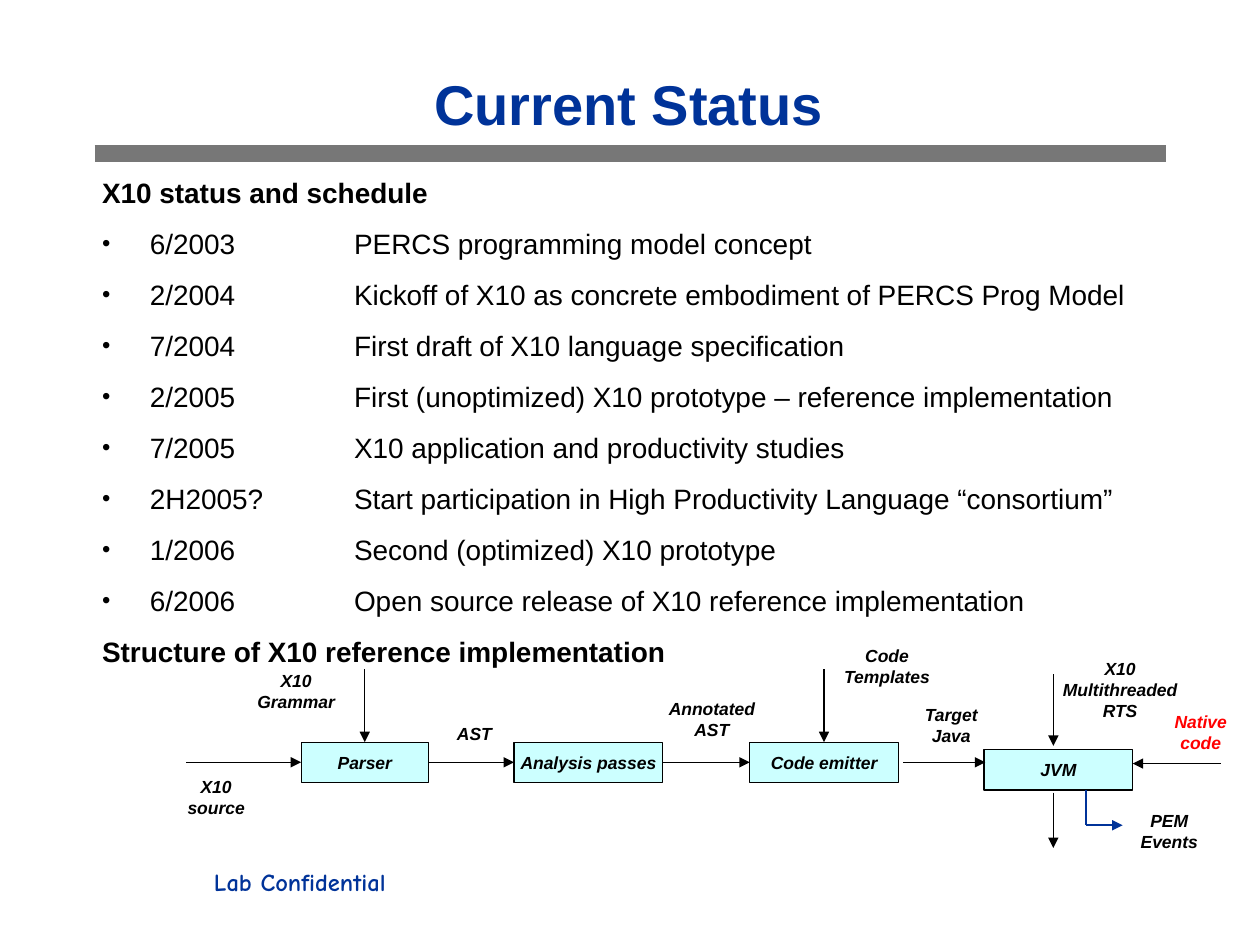
from lxml import etree
from pptx import Presentation
from pptx.dml.color import RGBColor
from pptx.enum.shapes import MSO_CONNECTOR, MSO_SHAPE
from pptx.enum.text import MSO_ANCHOR, MSO_AUTO_SIZE, PP_ALIGN
from pptx.oxml.ns import qn
from pptx.util import Inches, Pt

STRAIGHT = MSO_CONNECTOR.STRAIGHT
RECTANGLE = MSO_SHAPE.RECTANGLE
CENTER, LEFT = PP_ALIGN.CENTER, PP_ALIGN.LEFT
TOP, MIDDLE = MSO_ANCHOR.TOP, MSO_ANCHOR.MIDDLE
NO_FIT = MSO_AUTO_SIZE.NONE
BLACK, NAVY, RED, GRAY, AQUA = "000000", "003399", "FF0000", "777777", "CCFFFF"
SIDE_TOP, SIDE_LEFT, SIDE_RIGHT = 0, 1, 3

presentation = Presentation()
presentation.slide_width, presentation.slide_height = Inches(10), Inches(7.5)
COLUMN = presentation.slide_width / 100
ROW = presentation.slide_height / 75
slide = presentation.slides.add_slide(presentation.slide_layouts[1])


def write(shape, text, place=None, size=10, color=BLACK, bold=True, italic=False,
          font="Arial", align=LEFT, anchor=TOP, wrap=True, before=0, bullet=None):
    """Put one paragraph at the end of a shape's text; place is in grid units."""
    if place:
        left, top, width, height = place
        shape.left, shape.top = int(left * COLUMN), int(top * ROW)
        shape.width, shape.height = int(width * COLUMN), int(height * ROW)
    frame = shape.text_frame
    frame.word_wrap, frame.auto_size, frame.vertical_anchor = wrap, NO_FIT, anchor
    paragraph = frame.paragraphs[0]
    if paragraph.text:
        paragraph = frame.add_paragraph()
    properties = paragraph._p.get_or_add_pPr()
    indent = Inches(0.38) if bullet else 0
    properties.set("marL", str(indent))
    properties.set("indent", str(-indent))
    if bullet:
        bullet_color = etree.SubElement(properties, qn("a:buClr"))
        etree.SubElement(bullet_color, qn("a:srgbClr"), val=color)
        etree.SubElement(properties, qn("a:buSzPct"), val="85000")
        etree.SubElement(properties, qn("a:buChar"), char=bullet)
        tabs = etree.SubElement(properties, qn("a:tabLst"))
        etree.SubElement(tabs, qn("a:tab"), pos=str(Inches(2)), algn="l")
    else:
        etree.SubElement(properties, qn("a:buNone"))
    paragraph.alignment = align
    paragraph.space_before = Pt(before)
    run = paragraph.add_run()
    run.text = text
    run.font.name, run.font.size = font, Pt(size)
    run.font.bold, run.font.italic = bold, italic
    run.font.color.rgb = RGBColor.from_string(color)


def draw_line(shapes, start, end, color=BLACK, weight=0.75, arrow=True):
    """Draw a line between two points given in grid units."""
    line = shapes.add_connector(
        STRAIGHT, int(start[0] * COLUMN), int(start[1] * ROW),
        int(end[0] * COLUMN), int(end[1] * ROW))
    line.line.color.rgb = RGBColor.from_string(color)
    line.line.width = Pt(weight)
    if arrow:
        etree.SubElement(line.line._get_or_add_ln(), qn("a:tailEnd"), type="triangle")
    etree.SubElement(line._element.spPr, qn("a:effectLst"))
    return line


# Title and rule
draw_line(slide.shapes, (7.5, 12.2), (92.5, 12.2), color=GRAY, weight=10, arrow=False)
write(slide.shapes.title, "Current Status", (15.4, 5, 69, 6.3), size=32,
      color=NAVY, align=CENTER, anchor=MIDDLE)

# Schedule
schedule = [
    ("6/2003", "PERCS programming model concept"),
    ("2/2004", "Kickoff of X10 as concrete embodiment of PERCS Prog Model"),
    ("7/2004", "First draft of X10 language specification"),
    ("2/2005", "First (unoptimized) X10 prototype – reference implementation"),
    ("7/2005", "X10 application and productivity studies"),
    ("2H2005?", "Start participation in High Productivity Language “consortium”"),
    ("1/2006", "Second (optimized) X10 prototype"),
    ("6/2006", "Open source release of X10 reference implementation"),
]
body = slide.placeholders[1]
write(body, "X10 status and schedule", (7.1, 13.4, 91.8, 40.1), size=16)
for date, milestone in schedule:
    write(body, f"{date}\t{milestone}", size=16, bold=False, before=10, bullet="•")
write(body, "Structure of X10 reference implementation", size=16, before=10)

# Pipeline stages
diagram = slide.shapes.add_group_shape().shapes
stages = {}
for name, left, top, width in [
    ("Parser", 23.9, 58.9, 10.1),
    ("Analysis passes", 40.8, 58.9, 11.8),
    ("Code emitter", 59.5, 58.9, 11.8),
    ("JVM", 78.1, 59.5, 11.8),
]:
    stage = diagram.add_shape(RECTANGLE, 0, 0, 0, 0)
    stage.shadow.inherit = False
    stage.fill.solid()
    stage.fill.fore_color.rgb = RGBColor.from_string(AQUA)
    stage.line.color.rgb = RGBColor.from_string(BLACK)
    stage.line.width = Pt(0.75)
    write(stage, name, (left, top, width, 3.2), italic=True, align=CENTER,
          anchor=MIDDLE, wrap=False)
    stages[name] = stage

# Arrows joined to stages
for start, end, source, target, side in [
    ((14.8, 60.5), (23.9, 60.5), None, "Parser", SIDE_LEFT),
    ((28.95, 53.1), (28.95, 58.9), None, "Parser", SIDE_TOP),
    ((34, 60.5), (40.8, 60.5), "Parser", "Analysis passes", SIDE_LEFT),
    ((52.6, 60.5), (59.5, 60.5), "Analysis passes", "Code emitter", SIDE_LEFT),
    ((65.4, 53.1), (65.4, 58.9), None, "Code emitter", SIDE_TOP),
]:
    arrow = draw_line(diagram, start, end)
    if source:
        arrow.begin_connect(stages[source], SIDE_RIGHT)
    arrow.end_connect(stages[target], side)

# Free arrows around the last stage
for start, end in [
    ((71.7, 60.5), (78.2, 60.5)),
    ((83.6, 53.5), (83.6, 59.2)),
    ((96.9, 60.6), (89.9, 60.6)),
    ((83.6, 62.9), (83.6, 67.3)),
]:
    draw_line(diagram, start, end)
draw_line(diagram, (86.2, 62.7), (86.2, 65.5), color=NAVY, weight=1, arrow=False)
draw_line(diagram, (86.2, 65.5), (89.1, 65.5), color=NAVY, weight=1)

# Labels
for text, left, top, width, height, color in [
    ("X10 source", 13.2, 61.1, 7.9, 4.4, BLACK),
    ("X10 Grammar", 18.8, 52.7, 9.4, 4.4, BLACK),
    ("AST", 33.4, 56.9, 8.5, 2.7, BLACK),
    ("Annotated AST", 51.8, 54.9, 9.4, 4.4, BLACK),
    ("Code Templates", 65.7, 50.7, 9.4, 4.4, BLACK),
    ("Target Java", 70.8, 55.4, 9.4, 4.4, BLACK),
    ("X10 Multithreaded RTS", 83.1, 51.7, 11.6, 6, BLACK),
    ("Native code", 90.6, 55.9, 9.4, 4.4, RED),
    ("PEM Events", 89.3, 63.8, 7, 4.4, BLACK),
]:
    label = diagram.add_textbox(0, 0, 0, 0)
    write(label, text, (left, top, width, height), color=color, italic=True, align=CENTER)

# Footer
footer = slide.shapes.add_textbox(0, 0, 0, 0)
write(footer, "Lab Confidential", (16, 68.3, 69.6, 5), size=14, color=NAVY,
      font="Comic Neue")

presentation.save("out.pptx")
